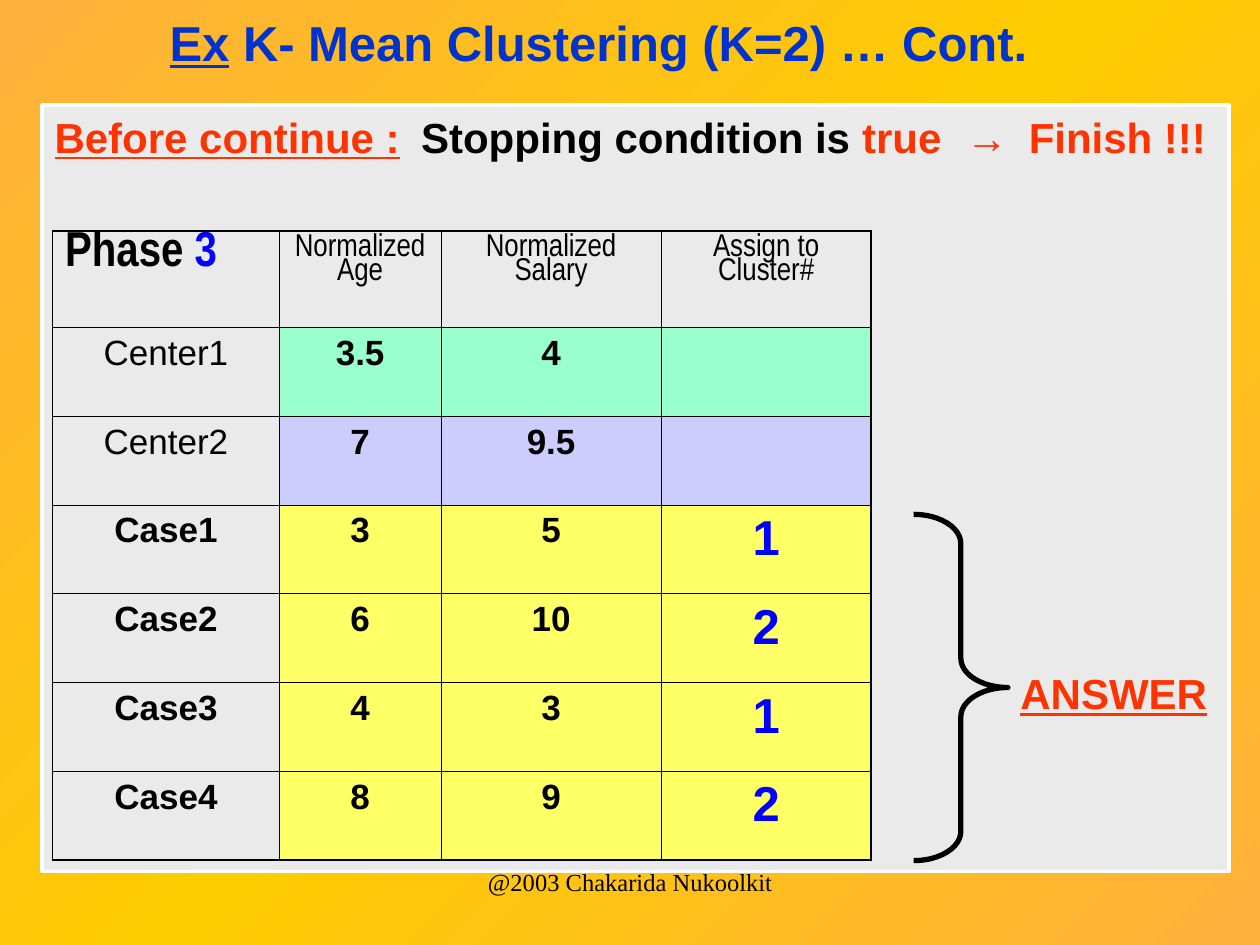
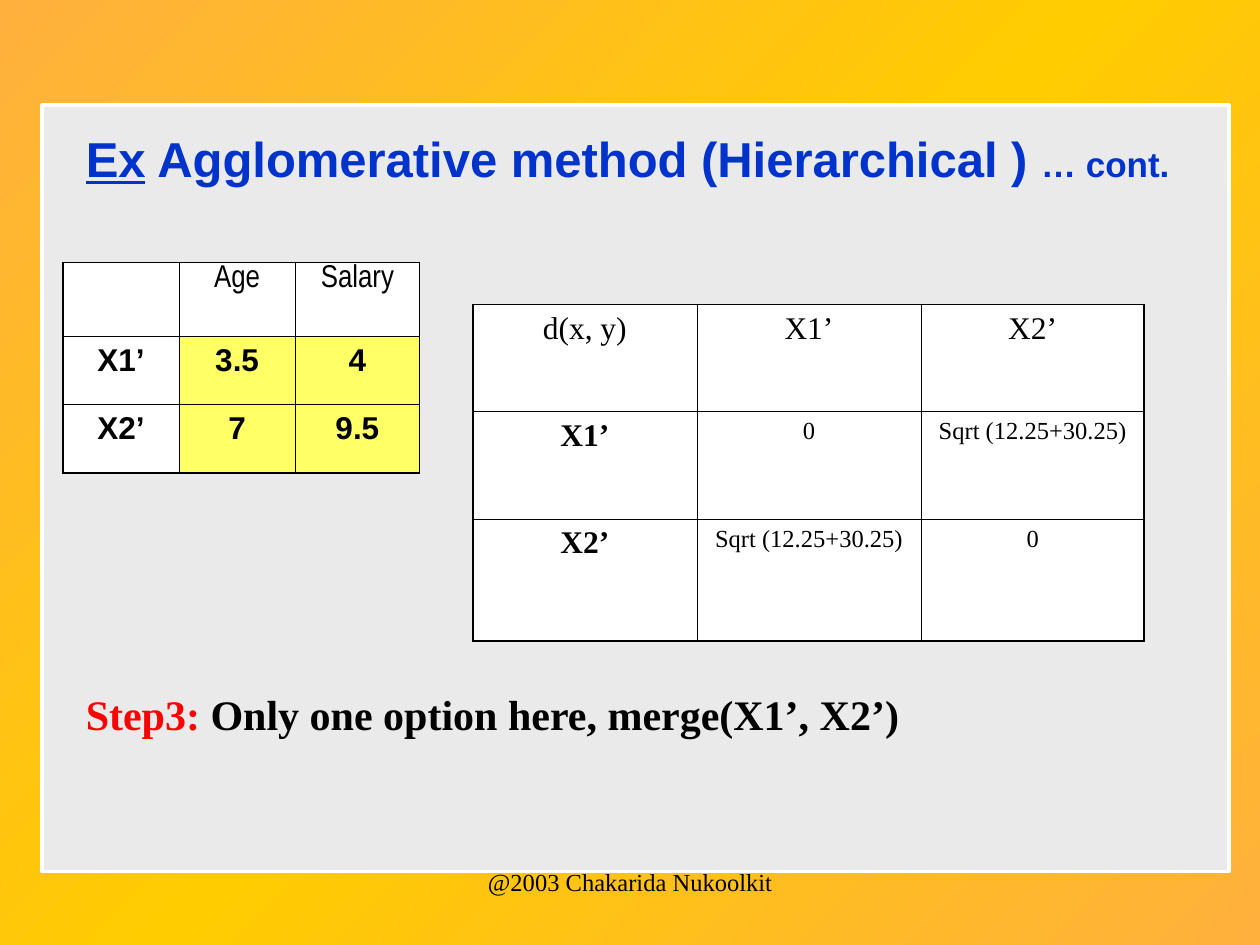
from copy import deepcopy
from dataclasses import dataclass

from lxml.etree import SubElement
from pptx import Presentation
from pptx.dml.color import RGBColor as RGB
from pptx.enum.shapes import MSO_SHAPE as Shape
from pptx.enum.text import MSO_ANCHOR as Anchor, PP_ALIGN as Align
from pptx.oxml.ns import qn
from pptx.util import Cm, Pt


@dataclass(frozen=True)
class Theme:
    sans: str = "Arial"
    slim: str = "Arial Narrow"
    serif: str = "Times New Roman"
    black: str = "000000"
    white: str = "FFFFFF"
    panel: str = "EAEAEA"
    amber: str = "FFB03D"
    gold: str = "FFCC00"
    title: str = "0033CC"
    blue: str = "0000FF"
    orange: str = "FF3300"
    red: str = "FF0000"
    mint: str = "99FFCC"
    lilac: str = "CCCCFF"
    yellow: str = "FFFF66"
    big: int = 28
    lead: int = 24
    body: int = 20
    small: int = 18
    tiny: int = 14
    thick: float = 1.08
    thin: float = 0.45


T = Theme()

# Text styles: font, size, bold, colour, line spacing
TITLE = (T.sans, T.big, True, T.title, 1)
ALERT = (T.sans, T.lead, True, T.orange, 1)
STEP = (T.serif, T.lead, True, T.black, 1)
FOOT = (T.serif, T.tiny, False, T.black, 1)
PHASE = (T.slim, T.big, True, T.black, 0.8)
HEAD = (T.slim, T.small, False, T.black, 0.8)
NAME = (T.sans, T.body, False, T.black, 1)
VALUE = (T.sans, T.body, True, T.black, 1)
GROUP = (T.sans, T.big, True, T.blue, 1)
POINT = (T.sans, T.small, True, T.black, 1)
AXIS = (T.serif, T.small, False, T.black, 1)
LABEL = (T.serif, T.small, True, T.black, 1)
DIST = FOOT

# Text is a list of runs: words, then what differs from the style
FOOTER = [("@2003 Chakarida Nukoolkit", {})]
EX = ("Ex", {"line": True})
MEANS = [EX, (" K- Mean Clustering (K=2) … Cont.", {})]
AGGLO = [EX, (" Agglomerative method (Hierarchical ) ", {}),
         ("… cont.", {"size": T.body})]
STOP = [("Before continue :", {"line": True}),
        ("\tStopping condition is", {"color": T.black}),
        (" true\t→\tFinish !!!", {})]
STOP_TABS = (7.39, 18.37, 19.64)
ANSWER = [("ANSWER", {"line": True})]
MERGE = [("Step3:", {"color": T.red}),
         (" Only one option here, merge(X1’, X2’)", {})]

PHASE_ROWS = [
    ([("Phase ", {}), ("3", {"color": T.blue})],
     "Normalized Age", "Normalized Salary", "Assign to Cluster#"),
    ("Center1", "3.5", "4", ""),
    ("Center2", "7", "9.5", ""),
    ("Case1", "3", "5", "1"),
    ("Case2", "6", "10", "2"),
    ("Case3", "4", "3", "1"),
    ("Case4", "8", "9", "2"),
]
POINT_ROWS = [("", "Age", "Salary"), ("X1’", "3.5", "4"), ("X2’", "7", "9.5")]
ROOT = "Sqrt (12.25+30.25)"
DIST_ROWS = [("d(x, y)", "X1’", "X2’"), ("X1’", "0", ROOT), ("X2’", ROOT, "0")]


def phase_look(row, col):
    """Give the style and fill of a cell in the phase table."""
    if row == 0:
        return (HEAD if col else PHASE), None
    if col == 0:
        return (NAME if row < 3 else VALUE), None
    fill = {1: T.mint, 2: T.lilac}.get(row, T.yellow)
    return (GROUP if col == 3 else VALUE), fill


def point_look(row, col):
    return (POINT if row else HEAD), (T.yellow if row and col else T.white)


def dist_look(row, col):
    style = AXIS if row == 0 else DIST if col else LABEL
    return style, T.white


def rgb(code):
    return RGB.from_string(code)


def write(frame, runs, style, align=Align.LEFT, tabs=()):
    para = frame.paragraphs[0]
    para.alignment = align
    face, size, bold, color, space = style
    if space != 1:
        para.line_spacing = space
    if tabs:
        stops = SubElement(para._p.get_or_add_pPr(), qn("a:tabLst"))
        for pos in tabs:
            SubElement(stops, qn("a:tab"), pos=str(Cm(pos)), algn="l")
    font = para.font
    font.name, font.size, font.bold = face, Pt(size), bold
    font.color.rgb = rgb(color)
    for words, diff in runs:
        run = para.add_run()
        run.text = words
        if "line" in diff:
            run.font.underline = diff["line"]
        if "color" in diff:
            run.font.color.rgb = rgb(diff["color"])
        if "size" in diff:
            run.font.size = Pt(diff["size"])


def add_text(slide, place, runs, style, align=Align.LEFT, anchor=Anchor.TOP, tabs=()):
    frame = slide.shapes.add_textbox(*map(Cm, place)).text_frame
    frame.word_wrap = True
    frame.vertical_anchor = anchor
    write(frame, runs, style, align, tabs)


def edge(cell, outer):
    """Rule a cell's four sides; sides on the table's rim are thicker."""
    props = cell._tc.get_or_add_tcPr()
    for side, rim in zip("LRTB", outer):
        width = Pt(T.thick if rim else T.thin)
        line = SubElement(props, qn(f"a:ln{side}"), w=str(width))
        fill = SubElement(line, qn("a:solidFill"))
        SubElement(fill, qn("a:srgbClr"), val=T.black)


def add_grid(slide, left, top, wide, high, rows, look):
    size = map(Cm, (left, top, sum(wide), sum(high)))
    table = slide.shapes.add_table(len(high), len(wide), *size).table
    table.first_row = table.horz_banding = False
    for col, width in zip(table.columns, wide):
        col.width = Cm(width)
    for row, height in zip(table.rows, high):
        row.height = Cm(height)
    for r, row in enumerate(rows):
        for c, item in enumerate(row):
            cell = table.cell(r, c)
            style, fill = look(r, c)
            edge(cell, (c == 0, c == len(wide) - 1, r == 0, r == len(high) - 1))
            if fill:
                cell.fill.solid()
                cell.fill.fore_color.rgb = rgb(fill)
            else:
                cell.fill.background()
            if item:
                runs = [(item, {})] if isinstance(item, str) else item
                align = Align.LEFT if style is PHASE else Align.CENTER
                write(cell.text_frame, runs, style, align)


def add_outline(slide, kind, place, color, width, fill=None):
    shape = slide.shapes.add_shape(kind, *map(Cm, place))
    shape.shadow.inherit = False
    shape.line.color.rgb = rgb(color)
    shape.line.width = Pt(width)
    if fill:
        shape.fill.solid()
        shape.fill.fore_color.rgb = rgb(fill)
    else:
        shape.fill.background()
    return shape


def paint(master):
    """Give every slide the diagonal amber and gold background."""
    fill = master.background.fill
    fill.gradient()
    fill.gradient_angle = 135
    stops = master.element.find(f".//{qn('a:gsLst')}")
    while len(stops) < 3:
        stops.append(deepcopy(stops[0]))
    for stop, pos, color in zip(fill.gradient_stops, (0, 0.5, 1),
                                (T.amber, T.gold, T.amber)):
        stop.position = pos
        stop.color.rgb = rgb(color)


def add_slide(deck, title, place, align):
    slide = deck.slides.add_slide(deck.slide_layouts[6])
    add_outline(slide, Shape.RECTANGLE, (0.85, 2.12, 23.92, 15.45),
                T.white, 2.25, T.panel)
    add_text(slide, place, title, TITLE, align, Anchor.MIDDLE)
    add_text(slide, (8.68, 17.36, 8.05, 1.27), FOOTER, FOOT, Align.CENTER)
    return slide


def add_means(deck):
    slide = add_slide(deck, MEANS, (1.69, 0, 20.75, 1.69), Align.CENTER)
    add_grid(slide, 1.06, 4.66, (4.57, 3.26, 4.44, 4.23), (1.94, *[1.79] * 6),
             PHASE_ROWS, phase_look)
    add_text(slide, (0.85, 2.12, 24.55, 1.27), STOP, ALERT, tabs=STOP_TABS)
    brace = add_outline(slide, Shape.RIGHT_BRACE, (18.42, 10.37, 1.9, 6.98),
                        T.black, 3)
    brace.adjustments[0] = 0.31
    add_text(slide, (20.32, 13.34, 5.08, 1.27), ANSWER, ALERT)


def add_agglo(deck):
    slide = add_slide(deck, AGGLO, (1.48, 2.33, 23.29, 1.69), Align.LEFT)
    add_grid(slide, 1.27, 5.29, (2.34, 2.34, 2.51), (1.5, 1.37, 1.37),
             POINT_ROWS, point_look)
    add_grid(slide, 9.53, 6.14, (4.52, 4.52, 4.5), (2.16, 2.16, 2.46),
             DIST_ROWS, dist_look)
    add_text(slide, (1.48, 13.76, 18.84, 1.27), MERGE, STEP)


def main():
    deck = Presentation()
    deck.slide_width, deck.slide_height = Cm(25.4), Cm(19.05)
    paint(deck.slide_master)
    add_means(deck)
    add_agglo(deck)
    deck.save("out.pptx")


if __name__ == "__main__":
    main()
